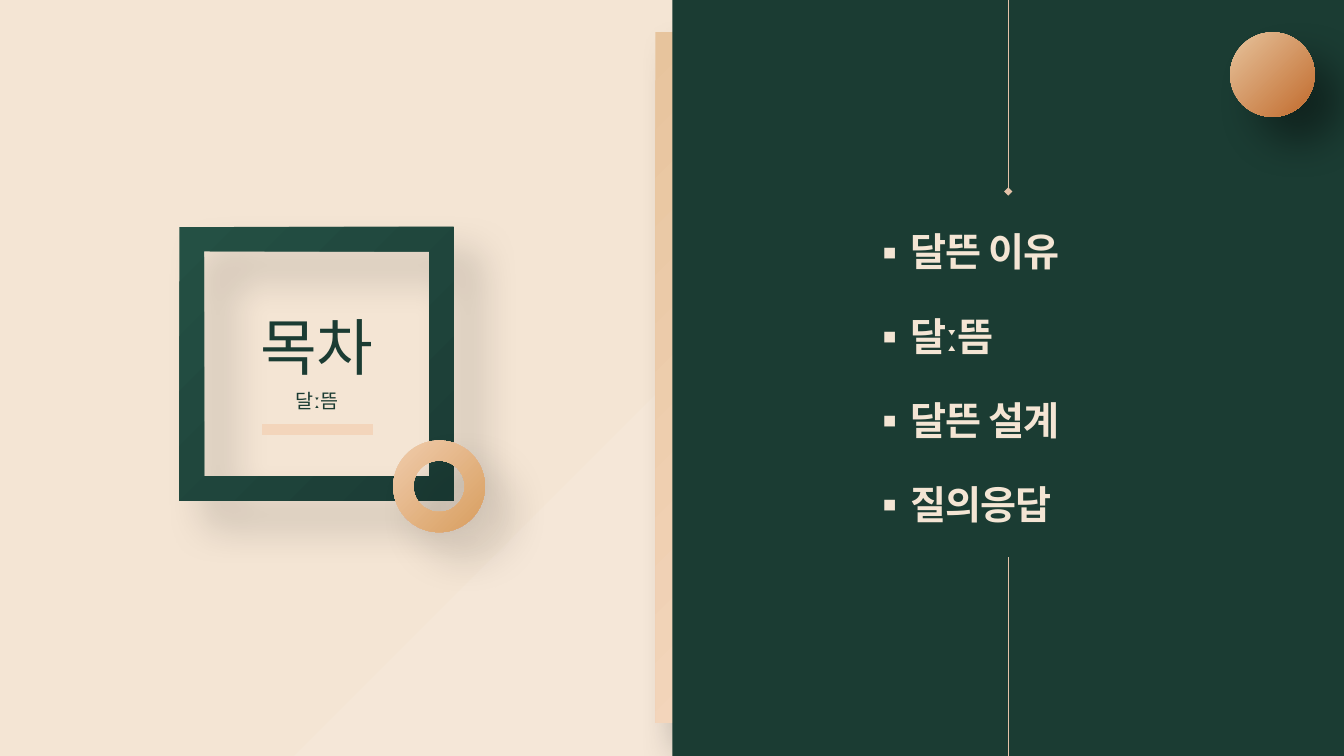
from lxml import etree
from pptx import Presentation
from pptx.dml.color import RGBColor
from pptx.enum.shapes import MSO_CONNECTOR, MSO_SHAPE
from pptx.enum.text import MSO_ANCHOR, PP_ALIGN
from pptx.oxml.ns import qn
from pptx.util import Inches, Pt

RECTANGLE = MSO_SHAPE.RECTANGLE
FRAME = MSO_SHAPE.FRAME
DONUT = MSO_SHAPE.DONUT
OVAL = MSO_SHAPE.OVAL
STRAIGHT = MSO_CONNECTOR.STRAIGHT
MIDDLE = MSO_ANCHOR.MIDDLE
CENTER = PP_ALIGN.CENTER

FONT = "Noto Sans CJK KR"
COLORS = {
    "paper": "F5E7D8",
    "cream": "F4E5D4",
    "gold": "E7C49D",
    "peach": "F3D5BB",
    "green": "1B3C35",
    "ink": "1B3C33",
    "moss": "245044",
    "ring_light": "F0CCAC",
    "ring_dark": "D89E5F",
    "copper": "C16A2C",
    "hairline": "E4C2A9",
    "shadow": "000000",
}
AGENDA = ["달뜬 이유", "달ː뜸", "달뜬 설계", "질의응답"]


def rgb(name):
    return RGBColor.from_string(COLORS[name])


def child(parent, tag, **attributes):
    element = etree.SubElement(parent, qn(tag))
    for key, value in attributes.items():
        element.set(key, str(value))
    return element


def paint_gradient(fill, start, end):
    fill.gradient()
    for stop, name in zip(fill.gradient_stops, (start, end)):
        stop.color.rgb = rgb(name)
    fill.gradient_angle = 315


def make_radial(gradient):
    gradient.remove(gradient.find(qn("a:lin")))
    route = child(gradient, "a:path", path="circle")
    child(route, "a:fillToRect", l=100000, t=100000)


def add_shadow(shape, opacity):
    effects = shape._element.spPr.find(qn("a:effectLst"))
    shadow = child(effects, "a:outerShdw", blurRad=Pt(30), dist=Pt(26),
                   dir=45 * 60000, algn="tl", rotWithShape=0)
    color = child(shadow, "a:srgbClr", val=COLORS["shadow"])
    child(color, "a:alpha", val=opacity * 1000)


def add_figure(slide, kind, box, start, end, opacity=None, thickness=None):
    figure = slide.shapes.add_shape(kind, *map(Inches, box))
    figure.shadow.inherit = False
    figure.line.fill.background()
    paint_gradient(figure.fill, start, end)
    if thickness is not None:
        figure.adjustments[0] = thickness
    if opacity is not None:
        add_shadow(figure, opacity)
    return figure


def add_rule(slide, start, end, color, width, tail=None):
    rule = slide.shapes.add_connector(STRAIGHT, *map(Inches, start + end))
    rule.line.color.rgb = rgb(color)
    rule.line.width = Pt(width)
    if tail:
        child(rule.line._get_or_add_ln(), "a:tailEnd", type=tail)
    child(rule._element.spPr, "a:effectLst")


def style(paragraph, size, color, bold=False):
    font = paragraph.font
    font.name = FONT
    font.size = Pt(size)
    font.bold = bold
    font.color.rgb = rgb(color)
    defaults = paragraph._p.pPr.find(qn("a:defRPr"))
    defaults.set("spc", "-60")
    child(defaults, "a:ea", typeface=FONT)


def add_text_frame(slide, box):
    frame = slide.shapes.add_textbox(*map(Inches, box)).text_frame
    frame.word_wrap = True
    frame.vertical_anchor = MIDDLE
    return frame


def add_caption(slide, box, text, size):
    frame = add_text_frame(slide, box)
    frame.margin_left = frame.margin_right = 0
    frame.margin_top = frame.margin_bottom = 0
    caption = frame.paragraphs[0]
    caption.text = text
    caption.alignment = CENTER
    caption.line_spacing = 1.2
    style(caption, size, "ink")


def add_agenda(slide, box, items):
    frame = add_text_frame(slide, box)
    for index, item in enumerate(items):
        entry = frame.add_paragraph() if index else frame.paragraphs[0]
        entry.text = item
        if index:
            entry.space_before = Pt(26.6)
        properties = entry._p.get_or_add_pPr()
        properties.set("marL", str(Inches(0.38)))
        properties.set("indent", str(Inches(-0.38)))
        child(properties, "a:buFont", typeface=FONT)
        child(properties, "a:buChar", char="▪")
        style(entry, 28, "cream", bold=True)


def main():
    presentation = Presentation()
    presentation.slide_width = Inches(13.33)
    presentation.slide_height = Inches(7.5)
    slide = presentation.slides.add_slide(presentation.slide_layouts[6])

    backdrop = slide.background.fill
    paint_gradient(backdrop, "paper", "cream")
    make_radial(slide._element.find(".//" + qn("a:gradFill")))

    add_figure(slide, RECTANGLE, (6.5, 0.32, 0.37, 6.85), "gold", "peach", 40)
    panel = add_figure(slide, RECTANGLE, (6.67, 0, 6.66, 7.5), "green", "ink")
    make_radial(panel._element.spPr.find(qn("a:gradFill")))
    add_figure(slide, FRAME, (1.78, 2.25, 2.72, 2.72), "moss", "green", 17, 0.09)
    add_figure(slide, DONUT, (3.9, 4.37, 0.91, 0.91),
               "ring_light", "ring_dark", 17, 0.22)

    add_caption(slide, (1.78, 3.05, 2.73, 0.62), "목차", 44)
    add_caption(slide, (1.78, 3.78, 2.73, 0.34), "달ː뜸", 14)
    add_agenda(slide, (8.54, 0.32, 2.53, 6.85), AGENDA)

    add_figure(slide, OVAL, (12.2, 0.32, 0.84, 0.84), "gold", "copper", 40)
    add_rule(slide, (10, 0), (10, 1.9), "hairline", 0.75, "diamond")
    add_rule(slide, (10, 5.53), (10, 7.5), "hairline", 0.75)
    add_rule(slide, (2.6, 4.26), (3.7, 4.26), "peach", 8)

    presentation.save("out.pptx")


if __name__ == "__main__":
    main()
